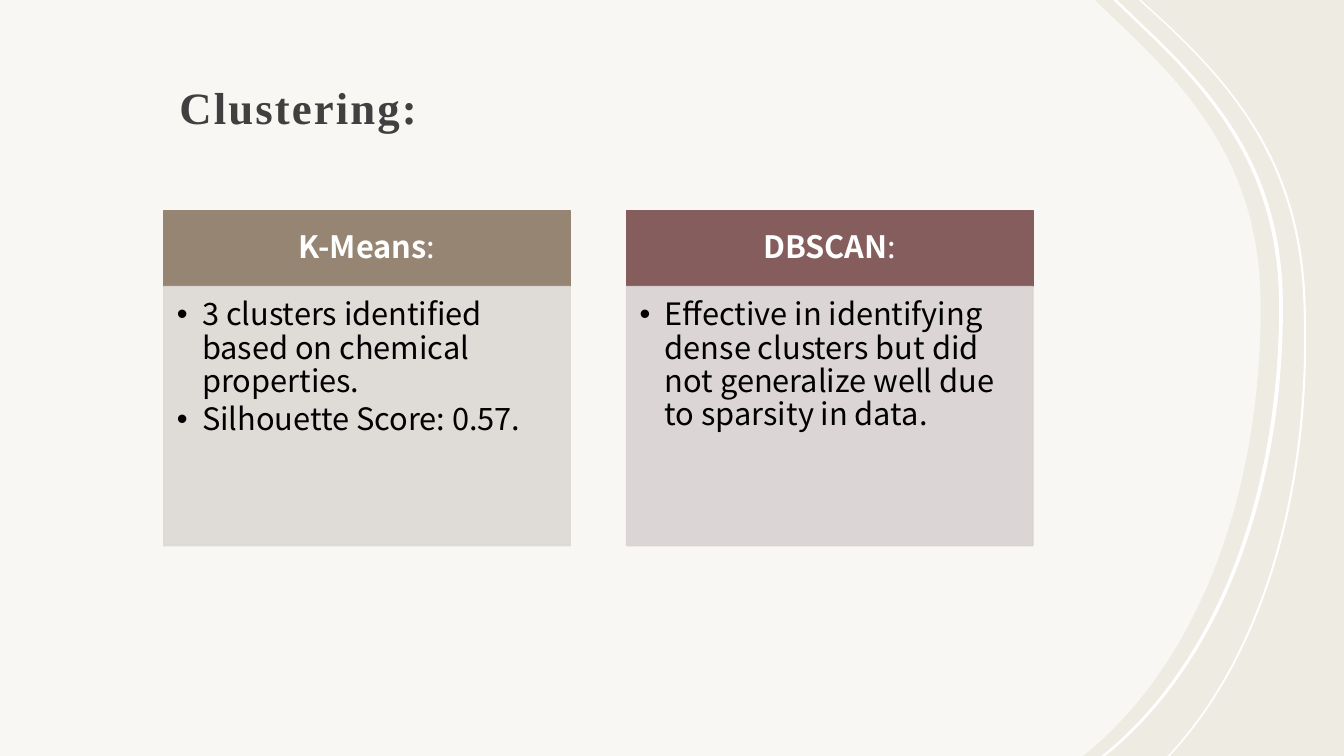
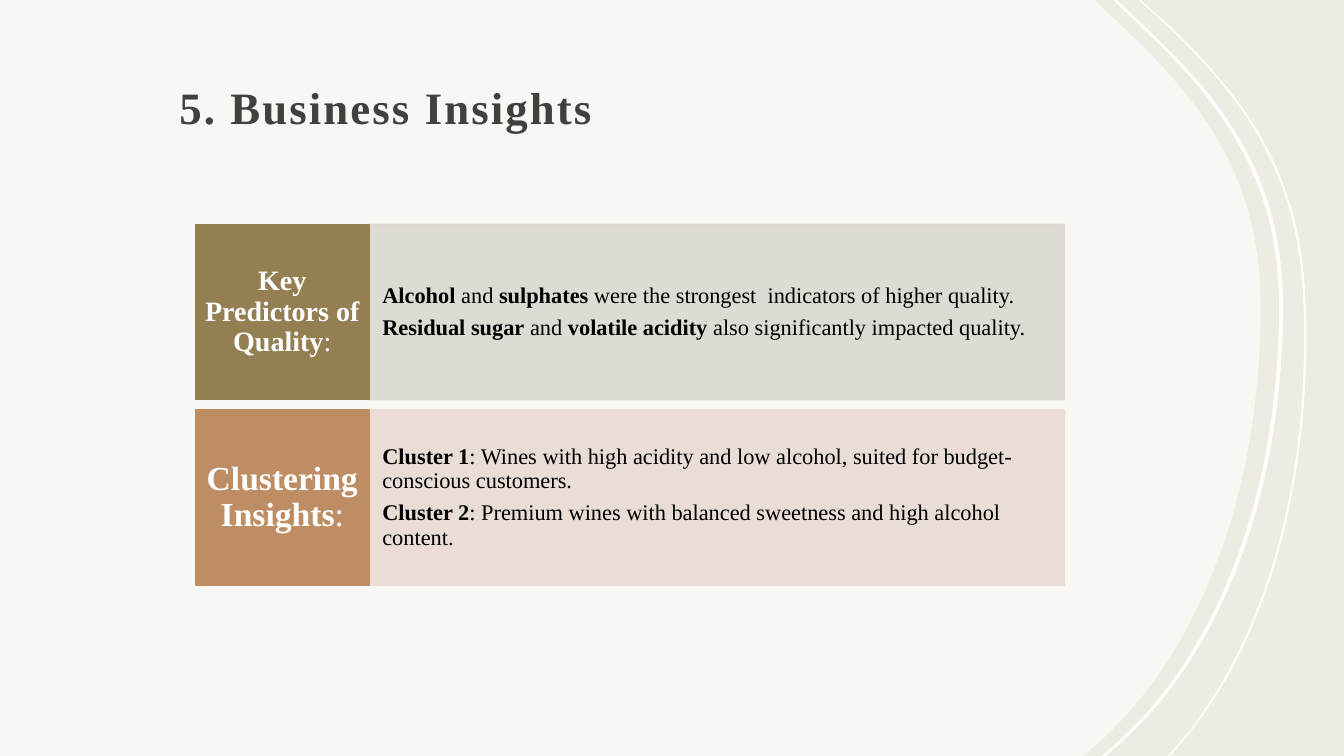
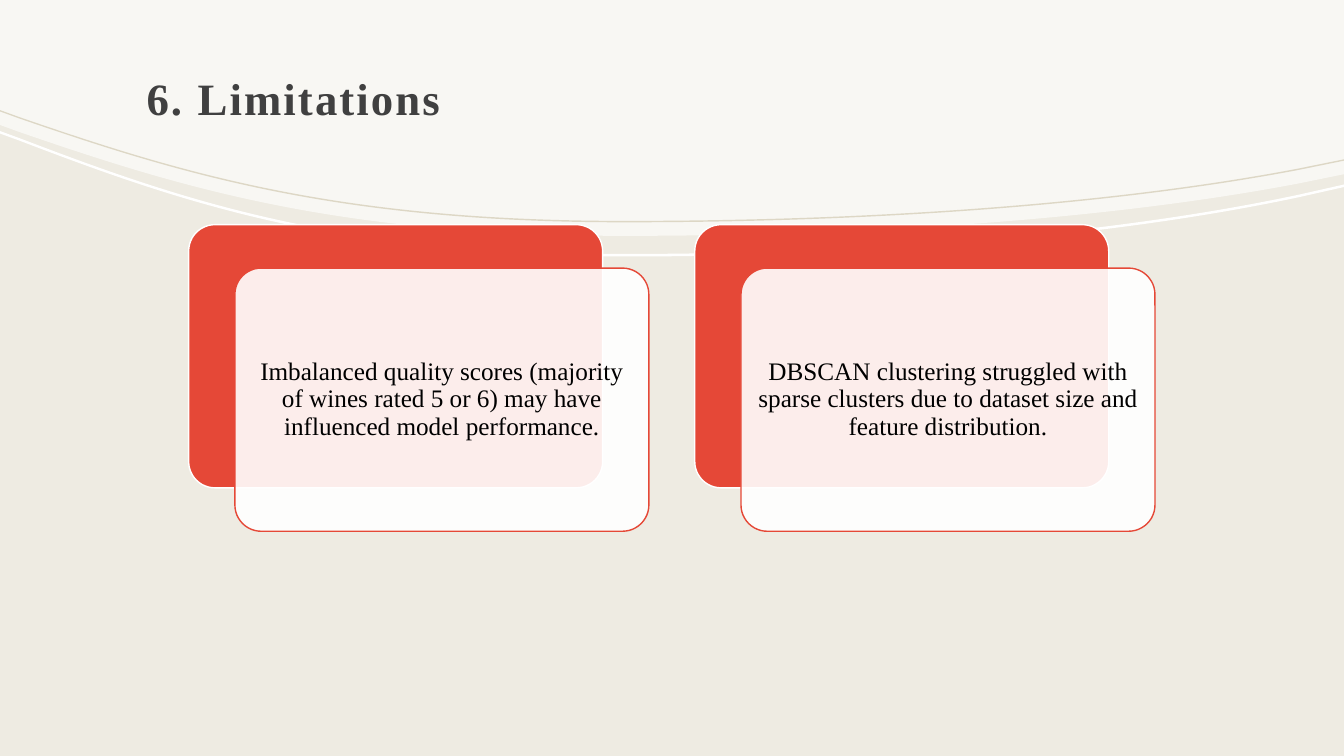
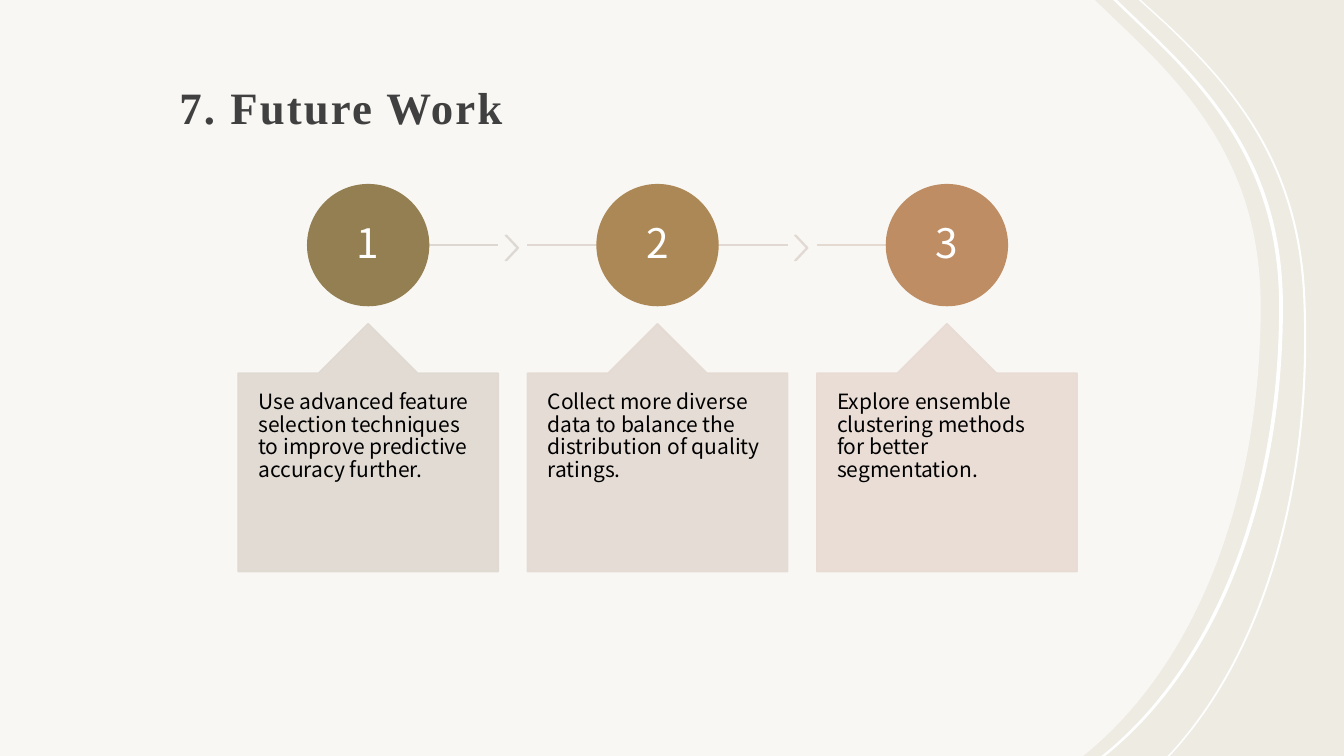
from lxml import etree
from pptx import Presentation
from pptx.dml.color import RGBColor
from pptx.enum import shapes, text
from pptx.oxml.ns import qn
from pptx.util import Pt

BACKGROUND = RGBColor(0xEE, 0xEB, 0xE2)
WHITE = RGBColor(0xFF, 0xFF, 0xFF)
BLACK = RGBColor(0, 0, 0)
TITLE_GREY = RGBColor(0x40, 0x40, 0x40)
TAN_LINE = RGBColor(0xDD, 0xD7, 0xC5)
TAUPE = RGBColor(0x96, 0x85, 0x72)
TAUPE_PALE = RGBColor(0xDD, 0xD9, 0xD5)
PLUM = RGBColor(0x85, 0x5D, 0x5D)
PLUM_PALE = RGBColor(0xD9, 0xD2, 0xD2)
OLIVE = RGBColor(0x94, 0x7F, 0x53)
OLIVE_PALE = RGBColor(0xDC, 0xD8, 0xD1)
CARAMEL = RGBColor(0xAD, 0x88, 0x57)
COPPER = RGBColor(0xBE, 0x8D, 0x64)
COPPER_PALE = RGBColor(0xE8, 0xDB, 0xD3)
STONE_PALE = RGBColor(0xDF, 0xD9, 0xD1)
CARAMEL_PALE = RGBColor(0xE4, 0xDA, 0xD2)
ARROW_TINTS = (OLIVE_PALE, RGBColor(0xE1, 0xD9, 0xD1), RGBColor(0xE5, 0xDA, 0xD2))
RED = RGBColor(0xE5, 0x48, 0x37)

SERIF = "Times New Roman"
SANS = "Noto Sans CJK JP"
WIDTH, HEIGHT = 960, 540
TITLE_ONLY, COMPARISON = 5, 4
CENTER = text.PP_ALIGN.CENTER
LEFT = text.PP_ALIGN.LEFT
TOP = text.MSO_ANCHOR.TOP
MIDDLE = text.MSO_ANCHOR.MIDDLE
BOTTOM = text.MSO_ANCHOR.BOTTOM
KIND = shapes.MSO_SHAPE

SIDE_EDGE = [(782, 0), (808, 25), (860, 75), (900.5, 129), (900.5, 219),
             (900.5, 354), (855.5, 473), (775.5, 538.5), (773.5, 540)]
OUTER_EDGE = [(813.5, 0), (832.5, 17.3), (885, 67), (927.5, 121), (931, 214),
              (936.5, 345.5), (903, 464.5), (836, 538), (834, 540)]
TOP_EDGE = [(0, 89.3), (13.7, 94.3), (129, 134), (240, 168.5), (446.5, 168.5),
            (630, 168.5), (800, 155.5), (928, 131), (960, 124.5)]
LOWER_EDGE = [(0, 93.6), (13.7, 98.6), (129, 142.6), (240, 181.4), (446.5, 181.4),
              (630, 181.4), (800, 166.3), (928, 139), (960, 131.8)]
EDGE_CURVES = (1, 4)
RIBBON_CURVES = EDGE_CURVES + tuple(len(SIDE_EDGE) + start for start in EDGE_CURVES)


def shift(points, dx, dy):
    return [(x + dx, y + dy) for x, y in points]


def fade(fill_parent, percent):
    color = fill_parent.find(qn("a:solidFill")).find(qn("a:srgbClr"))
    etree.SubElement(color, qn("a:alpha")).set("val", str(percent * 1000))


def paint(shape, fill, line=None, alpha=None):
    properties = shape._element.spPr
    shape.fill.solid()
    shape.fill.fore_color.rgb = fill
    if alpha:
        fade(properties, alpha)
    if line is None:
        shape.line.fill.background()
        return
    shape.line.color.rgb = line
    shape.line.width = Pt(1)
    if alpha and line == fill:
        fade(properties.find(qn("a:ln")), alpha)


def outline(page, points, curves, fill, alpha=None):
    (x, y), *others = [(Pt(x), Pt(y)) for x, y in points]
    builder = page.shapes.build_freeform(x, y, scale=1.0)
    builder.add_line_segments(others, close=True)
    shape = builder.convert_to_shape()
    shape.shadow.inherit = False
    paint(shape, fill, alpha=alpha)
    lines = list(shape._element.iter(qn("a:lnTo")))
    for start in curves:
        curve = etree.Element(qn("a:cubicBezTo"))
        lines[start].addprevious(curve)
        for line in lines[start:start + 3]:
            curve.append(line[0])
            line.getparent().remove(line)


def ribbon(page, edge, dx, dy, fill):
    outline(page, edge + shift(edge, dx, dy)[::-1], RIBBON_CURVES, fill)


def side_backdrop(page):
    outline(page, SIDE_EDGE + [(0, HEIGHT), (0, 0)], EDGE_CURVES, WHITE, 60)
    ribbon(page, OUTER_EDGE, 1.5, 0, WHITE)
    ribbon(page, shift(SIDE_EDGE, 13.2, 0), 2.7, 0, WHITE)


def top_backdrop(page):
    outline(page, TOP_EDGE + [(WIDTH, 0), (0, 0)], EDGE_CURVES, WHITE, 60)
    ribbon(page, LOWER_EDGE, 0, 1.8, WHITE)
    ribbon(page, shift(TOP_EDGE, 0, -10.7), 0, 1, TAN_LINE)


def place(shape, left, top, width, height):
    shape.left, shape.top = Pt(left), Pt(top)
    shape.width, shape.height = Pt(width), Pt(height)


def add_block(page, kind, box, fill, line=None, alpha=None):
    shape = page.shapes.add_shape(kind, *(Pt(length) for length in box))
    shape.shadow.inherit = False
    paint(shape, fill, line or fill, alpha)
    return shape


def write(shape, paras, size, color, font=SERIF, align=LEFT, anchor=MIDDLE,
          insets=(0, 0, 0, 0), gap=0, bulleted=False, spacing=0.9):
    frame = shape.text_frame
    frame.word_wrap = True
    frame.auto_size = text.MSO_AUTO_SIZE.NONE
    frame.vertical_anchor = anchor
    (frame.margin_left, frame.margin_top,
     frame.margin_right, frame.margin_bottom) = (Pt(inset) for inset in insets)
    frame.text = "\n".join("" if isinstance(spans, tuple) else spans for spans in paras)
    for index, (para, spans) in enumerate(zip(frame.paragraphs, paras)):
        if bulleted:
            props = para._p.get_or_add_pPr()
            props.set("marL", str(Pt(18)))
            props.set("indent", str(-Pt(18)))
            etree.SubElement(props, qn("a:buChar")).set("char", "•")
        para.alignment = align
        para.line_spacing = spacing
        para.space_before = Pt(0)
        para.space_after = Pt(gap if index < len(paras) - 1 else 0)
        if isinstance(spans, tuple):
            for span in spans:
                para.add_run().text = span
        for order, run in enumerate(para.runs):
            run.font.name = font
            run.font.size = Pt(size)
            run.font.color.rgb = color
            run.font.bold = isinstance(spans, tuple) and order % 2 == 0


def start_page(deck, layout, backdrop, title, box, bottom_inset):
    page = deck.slides.add_slide(deck.slide_layouts[layout])
    backdrop(page)
    for holder in list(page.placeholders):
        page.shapes._spTree.append(holder._element)
    heading = page.shapes.title
    place(heading, *box)
    write(heading, [(title,)], 32, TITLE_GREY, anchor=BOTTOM, spacing=1.2,
          insets=(8.64, 0, 8.64, bottom_inset))
    for run in heading.text_frame.paragraphs[0].runs:
        run._r.get_or_add_rPr().set("spc", "150")
    return page


def side_page(deck, title, layout=TITLE_ONLY):
    return start_page(deck, layout, side_backdrop, title, (119.5, 34.5, 615.5, 106), 45.4)


def top_page(deck, title):
    return start_page(deck, TITLE_ONLY, top_backdrop, title, (96, 42.5, 768, 82), 35.7)


def comparison_column(head, body, box, name, points, fill, pale):
    left, top, width, height = box
    head_height = 54.3
    place(head, left, top, width, head_height)
    paint(head, fill, fill)
    write(head, [(name, ":")], 22, WHITE, SANS, CENTER, insets=(12, 7, 12, 7))
    place(body, left, top + head_height, width, height - head_height)
    paint(body, pale, pale, 90)
    write(body, points, 22, BLACK, SANS, anchor=TOP, insets=(9.4, 9.2, 12.5, 14),
          gap=3.6, bulleted=True)


def insight_row(page, box, name, size, points, fill, pale):
    left, top, width, height = box
    label_width = 124
    body = add_block(page, KIND.RECTANGLE,
                     (left + label_width, top, width - label_width, height), pale, alpha=90)
    write(body, points, 16, BLACK, insets=(9.4, 31.7, 9.4, 31.7), gap=5.6)
    label = add_block(page, KIND.RECTANGLE, (left, top, label_width, height), fill)
    write(label, [(name, ":")], size, WHITE, align=CENTER, insets=(6.5, 12, 6.5, 12))


def limitation_card(page, box, message):
    left, top, width, height = box
    dx, dy = 33, 31
    card_size = (width - dx, height - dy)
    back = add_block(page, KIND.ROUNDED_RECTANGLE, (left, top, *card_size), RED, WHITE)
    front = add_block(page, KIND.ROUNDED_RECTANGLE, (left + dx, top + dy, *card_size),
                      WHITE, RED, 90)
    for card in (back, front):
        card.adjustments[0] = 0.1
    write(front, [message], 18, BLACK, align=CENTER, insets=(5, 5, 5, 5))


def step_line(page, start, end, y, color):
    line = page.shapes.add_connector(shapes.MSO_CONNECTOR.STRAIGHT,
                                     Pt(start), Pt(y), Pt(end), Pt(y))
    line.line.color.rgb = color
    line.line.width = Pt(1.25)
    etree.SubElement(line._element.spPr, qn("a:effectLst"))


def step_column(page, box, number, count, message, fill, pale, tint):
    left, top, width, height = box
    diameter, callout_top = 86.4, 99.2
    center, middle = left + width / 2, top + diameter / 2
    step_line(page, center if number == 1 else left,
              center if number == count else left + width, middle, tint)
    if number < count:
        chevron = add_block(page, KIND.CHEVRON, (left + width + 5, middle - 7, 9.4, 18),
                            tint, alpha=90)
        chevron.adjustments[0] = 0.9
    circle = add_block(page, KIND.OVAL, (center - diameter / 2, top, diameter, diameter), fill)
    write(circle, [str(number)], 29, WHITE, SANS, CENTER, insets=(3.5, 3.5, 3.5, 3.5))
    callout = add_block(page, KIND.UP_ARROW_CALLOUT,
                        (left, top + callout_top, width, height - callout_top), pale, alpha=90)
    for index, value in enumerate((0.4, 0.2, 0.2, 0.8)):
        callout.adjustments[index] = value
    write(callout, [message], 15, BLACK, SANS, anchor=TOP, insets=(14.6, 13, 14.6, 13))


def clustering_page(deck):
    page = side_page(deck, "Clustering:", COMPARISON)
    columns = [
        ("K-Means", ["3 clusters identified based on chemical properties.",
                     "Silhouette Score: 0.57."], TAUPE, TAUPE_PALE),
        ("DBSCAN", ["Effective in identifying dense clusters but did not generalize "
                    "well due to sparsity in data."], PLUM, PLUM_PALE),
    ]
    holders = page.placeholders
    for index, column in enumerate(columns):
        comparison_column(holders[1 + 2 * index], holders[2 + 2 * index],
                          (117 + 330.5 * index, 150.3, 290.3, 239.5), *column)


def insights_page(deck):
    page = side_page(deck, "5. Business Insights")
    rows = [
        ("Key Predictors of Quality", 20,
         [("Alcohol", " and ", "sulphates", " were the strongest  indicators of higher quality."),
          ("Residual sugar", " and ", "volatile acidity",
           " also significantly impacted quality.")], OLIVE, OLIVE_PALE),
        ("Clustering Insights", 24,
         [("Cluster 1", ": Wines with high acidity and low alcohol, suited for "
                        "budget-conscious customers."),
          ("Cluster 2", ": Premium wines with balanced sweetness and high alcohol content.")],
         COPPER, COPPER_PALE),
    ]
    for index, row in enumerate(rows):
        insight_row(page, (139.7, 160.2 + 132.6 * index, 620.6, 125.4), *row)


def limitations_page(deck):
    page = top_page(deck, "6. Limitations")
    messages = [
        "Imbalanced quality scores (majority of wines rated 5 or 6) may have influenced "
        "model performance.",
        "DBSCAN clustering struggled with sparse clusters due to dataset size and "
        "feature distribution.",
    ]
    for index, message in enumerate(messages):
        limitation_card(page, (134.8 + 361.5 * index, 160.5, 328.7, 219), message)


def future_page(deck):
    page = side_page(deck, "7. Future Work")
    steps = [
        ("Use advanced feature selection techniques to improve predictive accuracy further.",
         OLIVE, STONE_PALE),
        ("Collect more diverse data to balance the distribution of quality ratings.",
         CARAMEL, CARAMEL_PALE),
        ("Explore ensemble clustering methods for better segmentation.",
         COPPER, COPPER_PALE),
    ]
    for index, (step, tint) in enumerate(zip(steps, ARROW_TINTS)):
        step_column(page, (170 + 206.7 * index, 131.9, 186, 276.4),
                    index + 1, len(steps), *step, tint)


def main():
    deck = Presentation()
    deck.slide_width, deck.slide_height = Pt(WIDTH), Pt(HEIGHT)
    backdrop = deck.slide_master.background.fill
    backdrop.solid()
    backdrop.fore_color.rgb = BACKGROUND
    clustering_page(deck)
    insights_page(deck)
    limitations_page(deck)
    future_page(deck)
    deck.save("out.pptx")


if __name__ == "__main__":
    main()
